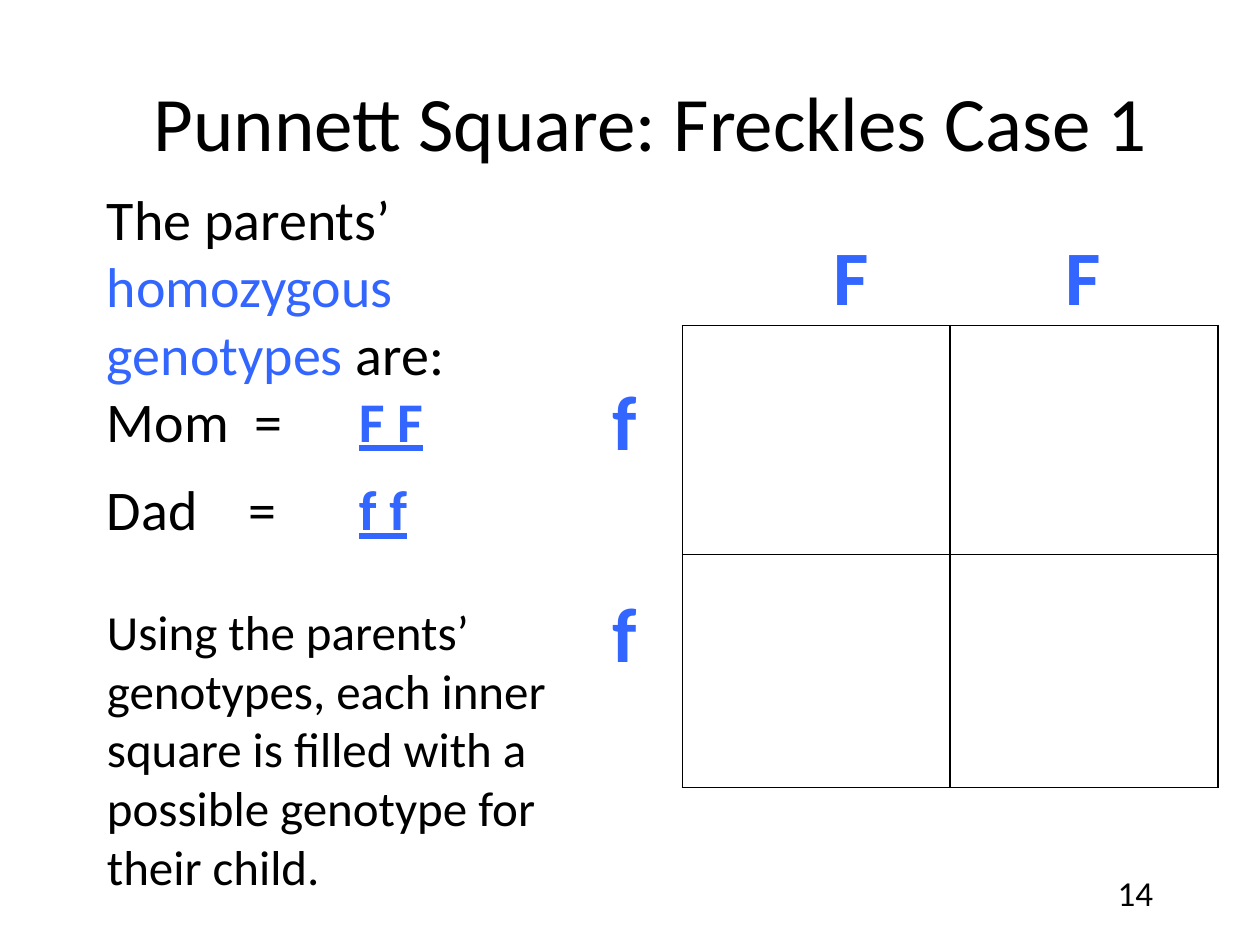
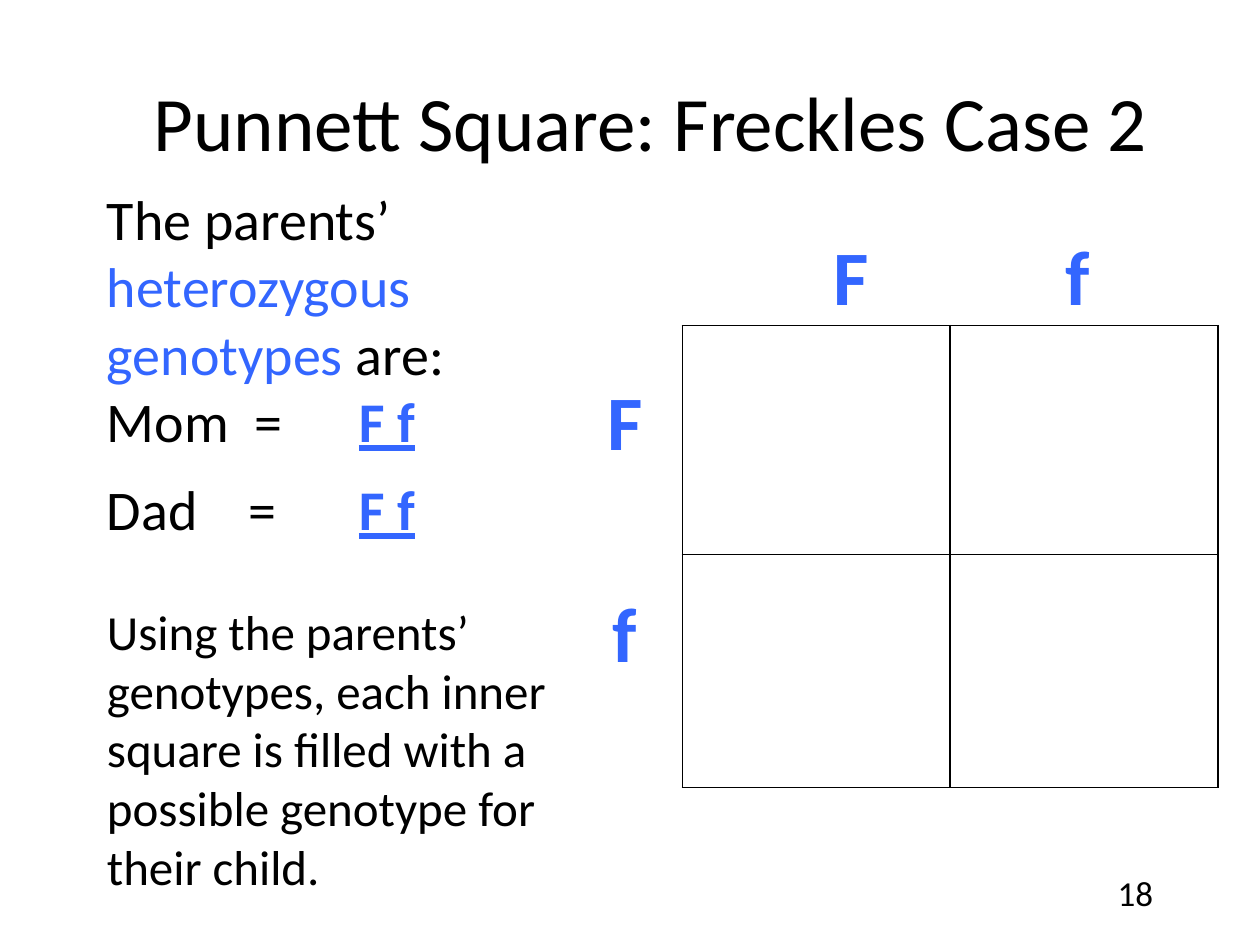
import pptx
import pptx.util
from pptx.dml.color import RGBColor
from pptx.enum.text import MSO_ANCHOR, PP_ALIGN
from pptx.oxml.ns import qn
import lxml.etree

Pt = pptx.util.Pt

CASES = [
    {"title": "Punnett Square: Freckles Case 1", "kind": "homozygous",
     "mom": "FF", "dad": "ff", "page": "14"},
    {"title": "Punnett Square: Freckles Case 2", "kind": "heterozygous",
     "mom": "Ff", "dad": "Ff", "page": "18"},
]
TASK = ("Using the parents’ genotypes, each inner square is filled "
        "with a possible genotype for their child.")

COLORS = {"ink": "000000", "gene": "3366FF"}
FONT = "Calibri"

# left, top, width, height
TITLE = (66, 24, 612, 90)
BODY = (54, 102, 276, 417)
TOP = (408, 108, 270, 80)
SIDE = (324, 210, 66, 192)
PAGE = (516, 492, 150, 36)
GRID = (390, 186, 306, 264)
ROWS = (131, 133)


def add_box(slide, area, anchor=MSO_ANCHOR.TOP):
    frame = slide.shapes.add_textbox(*map(Pt, area)).text_frame
    frame.word_wrap = True
    frame.vertical_anchor = anchor
    return frame


def add_line(frame, parts, size, align=PP_ALIGN.LEFT, before=0, after=0, stops=()):
    """Add a paragraph; each part is (text, colour name, style letters b and u)."""
    first = not frame.text
    para = frame.paragraphs[0] if first else frame.add_paragraph()
    para.alignment = align
    para.space_before, para.space_after = Pt(before), Pt(after)
    for text, color, style in parts:
        run = para.add_run()
        run.text = text
        font = run.font
        font.name, font.size = FONT, Pt(size)
        font.color.rgb = RGBColor.from_string(COLORS[color])
        font.bold, font.underline = "b" in style, "u" in style
    if stops:
        tabs = lxml.etree.SubElement(para._p.get_or_add_pPr(), qn("a:tabLst"))
        for stop in stops:
            lxml.etree.SubElement(tabs, qn("a:tab"), pos=str(Pt(stop)), algn="l")


def add_body(slide, case):
    frame = add_box(slide, BODY)
    add_line(frame, [("The parents’ ", "ink", ""),
                     (case["kind"] + " genotypes", "gene", ""),
                     (" are:", "ink", "")], 32)
    for name, key, equals, after in (("Mom", "mom", 84.5, 12), ("Dad", "dad", 81, 0)):
        add_line(frame, [(name + "\t=\t", "ink", ""),
                         (" ".join(case[key]), "gene", "bu")],
                 32, after=after, stops=(equals, 144))
    add_line(frame, [(TASK, "ink", "")], 28, before=34)


def add_alleles(slide, case):
    frame = add_box(slide, TOP, MSO_ANCHOR.BOTTOM)
    frame.margin_bottom = Pt(4.8)
    across = "".join("\t" + gene for gene in case["mom"])
    add_line(frame, [(across, "gene", "b")], 44, stops=(61, 194))
    frame = add_box(slide, SIDE)
    for gene, gap in zip(case["dad"], (0, 68)):
        add_line(frame, [(gene, "gene", "b")], 44, PP_ALIGN.CENTER, before=gap)


def add_square(slide):
    table = slide.shapes.add_table(2, 2, *map(Pt, GRID)).table
    table.first_row = table.horz_banding = False
    for row, height in zip(table.rows, ROWS):
        row.height = Pt(height)
    for cell in table.iter_cells():
        props = cell._tc.get_or_add_tcPr()
        for side in ("lnL", "lnR", "lnT", "lnB"):
            line = lxml.etree.SubElement(props, qn("a:" + side), w=str(Pt(1)))
            fill = lxml.etree.SubElement(line, qn("a:solidFill"))
            lxml.etree.SubElement(fill, qn("a:srgbClr"), val=COLORS["ink"])
        cell.fill.background()


def main():
    deck = pptx.Presentation()
    deck.slide_width, deck.slide_height = Pt(720), Pt(540)
    for case in CASES:
        slide = deck.slides.add_slide(deck.slide_layouts[6])
        add_line(add_box(slide, TITLE, MSO_ANCHOR.MIDDLE),
                 [(case["title"], "ink", "")], 44, PP_ALIGN.CENTER)
        add_body(slide, case)
        add_alleles(slide, case)
        add_line(add_box(slide, PAGE, MSO_ANCHOR.MIDDLE),
                 [(case["page"], "ink", "")], 20, PP_ALIGN.RIGHT)
        add_square(slide)
    deck.save("out.pptx")


if __name__ == "__main__":
    main()
